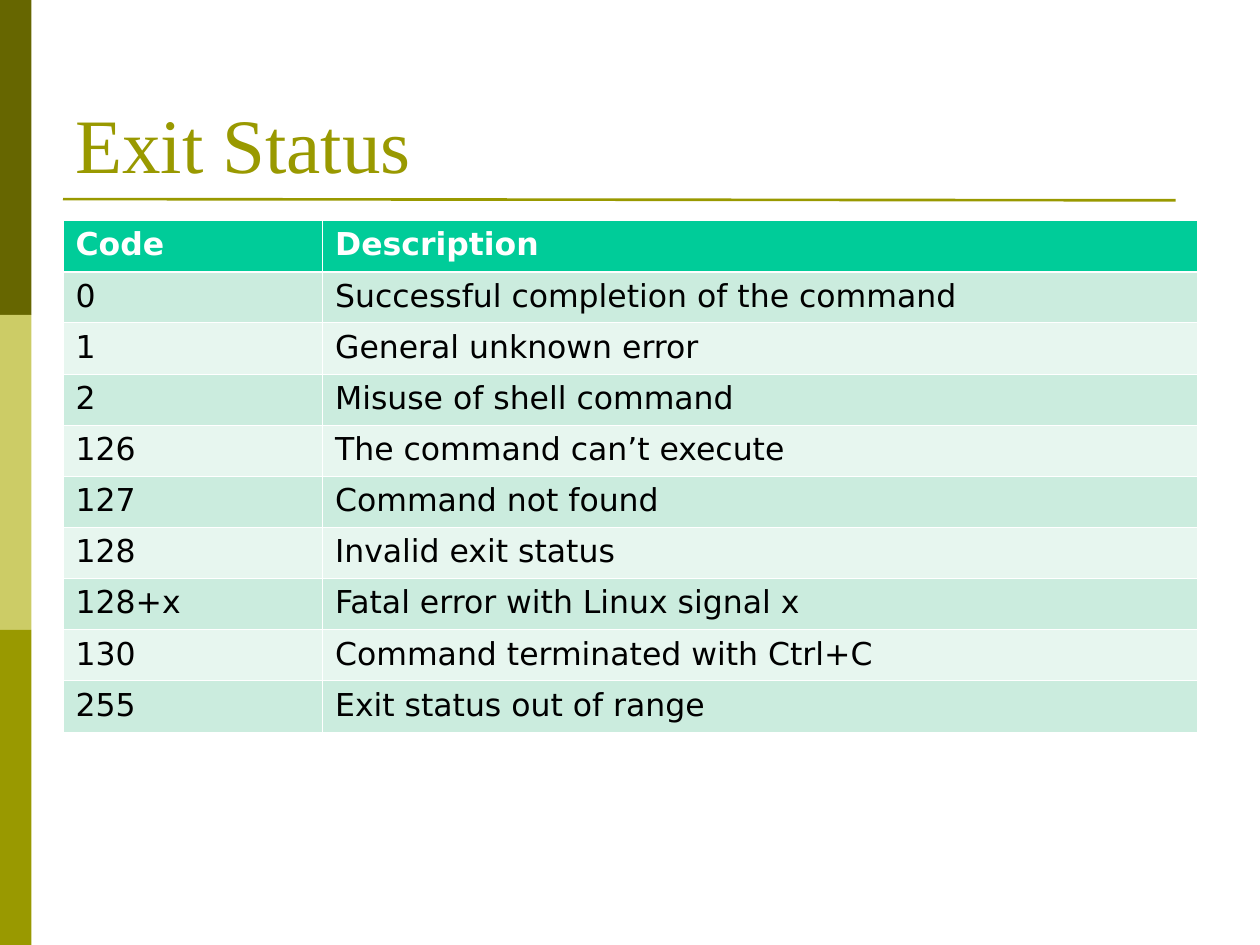
import pptx
import pptx.dml.color
import pptx.enum.shapes
import pptx.enum.text
import pptx.oxml.ns
import pptx.util
from lxml import etree

Inches = pptx.util.Inches
Pt = pptx.util.Pt

COLORS = {
    "dark olive": "666600",
    "light olive": "CCCC66",
    "olive": "999900",
    "header": "00CC99",
    "odd row": "CBECDE",
    "even row": "E7F6EF",
    "white": "FFFFFF",
    "black": "000000",
}
THIN, THICK = 0.45, 1.47

EXIT_CODES = [
    ("Code", "Description"),
    ("0", "Successful completion of the command"),
    ("1", "General unknown error"),
    ("2", "Misuse of shell command"),
    ("126", "The command can’t execute"),
    ("127", "Command not found"),
    ("128", "Invalid exit status"),
    ("128+x", "Fatal error with Linux signal x"),
    ("130", "Command terminated with Ctrl+C"),
    ("255", "Exit status out of range"),
]


def rgb(name):
    return pptx.dml.color.RGBColor.from_string(COLORS[name])


def add_run(paragraph, text, font, size, color, bold=False):
    run = paragraph.add_run()
    run.text = text
    run.font.name = font
    run.font.size = Pt(size)
    run.font.bold = bold
    run.font.color.rgb = rgb(color)


def add_sidebar(slide, left, top, width, height):
    bands = ["dark olive", "light olive", "olive"]
    band_height = height / len(bands)
    for index, color in enumerate(bands):
        shape = slide.shapes.add_shape(
            pptx.enum.shapes.MSO_SHAPE.RECTANGLE,
            Inches(left), Inches(top + index * band_height),
            Inches(width), Inches(band_height))
        shape.shadow.inherit = False
        shape.fill.solid()
        shape.fill.fore_color.rgb = rgb(color)
        shape.line.fill.background()


def add_title(slide, left, top, width, height, text):
    # Title text, resting on the bottom of its box
    box = slide.shapes.add_textbox(
        Inches(left), Inches(top), Inches(width), Inches(height))
    frame = box.text_frame
    frame.word_wrap = True
    frame.vertical_anchor = pptx.enum.text.MSO_ANCHOR.BOTTOM
    add_run(frame.paragraphs[0], text, "Times New Roman", 44, "olive")

    # Rule below the title
    bottom = top + height
    rule = slide.shapes.add_connector(
        pptx.enum.shapes.MSO_CONNECTOR.STRAIGHT,
        Inches(left), Inches(bottom + 0.03),
        Inches(left + 8.83), Inches(bottom + 0.04))
    rule.line.color.rgb = rgb("olive")
    rule.line.width = Pt(1.5)
    etree.SubElement(rule.element.spPr, pptx.oxml.ns.qn("a:effectLst"))


def set_borders(cell, top, bottom):
    properties = cell._tc.get_or_add_tcPr()
    widths = {"a:lnL": THIN, "a:lnR": THIN, "a:lnT": top, "a:lnB": bottom}
    for tag, width in widths.items():
        line = etree.SubElement(
            properties, pptx.oxml.ns.qn(tag), w=str(int(Pt(width))))
        fill = etree.SubElement(line, pptx.oxml.ns.qn("a:solidFill"))
        etree.SubElement(
            fill, pptx.oxml.ns.qn("a:srgbClr"), val=COLORS["white"])


def add_code_table(slide, left, top, width, height, rows, code_width):
    table = slide.shapes.add_table(
        len(rows), 2, Inches(left), Inches(top),
        Inches(width), Inches(height)).table
    table.columns[0].width = Inches(code_width)
    table.columns[1].width = Inches(width - code_width)

    for row, texts in enumerate(rows):
        table.rows[row].height = Inches(height / len(rows))
        is_header = row == 0
        row_fill = "header" if is_header else "odd row" if row % 2 else "even row"
        for column, text in enumerate(texts):
            cell = table.cell(row, column)
            set_borders(cell, THICK if row == 1 else THIN,
                        THICK if is_header else THIN)
            cell.fill.solid()
            cell.fill.fore_color.rgb = rgb(row_fill)
            add_run(cell.text_frame.paragraphs[0], text, "DejaVu Sans", 18,
                    "white" if is_header else "black", bold=is_header)


def main():
    presentation = pptx.Presentation()
    presentation.slide_width = Inches(10)
    presentation.slide_height = Inches(7.5)
    slide = presentation.slides.add_slide(presentation.slide_layouts[6])

    add_sidebar(slide, 0, 0, 0.25, 7.5)
    add_title(slide, 0.5, -0.02, 9, 1.57, "Exit Status")
    add_code_table(slide, 0.5, 1.75, 9, 4.06, EXIT_CODES, 2.06)

    presentation.save("out.pptx")


if __name__ == "__main__":
    main()
